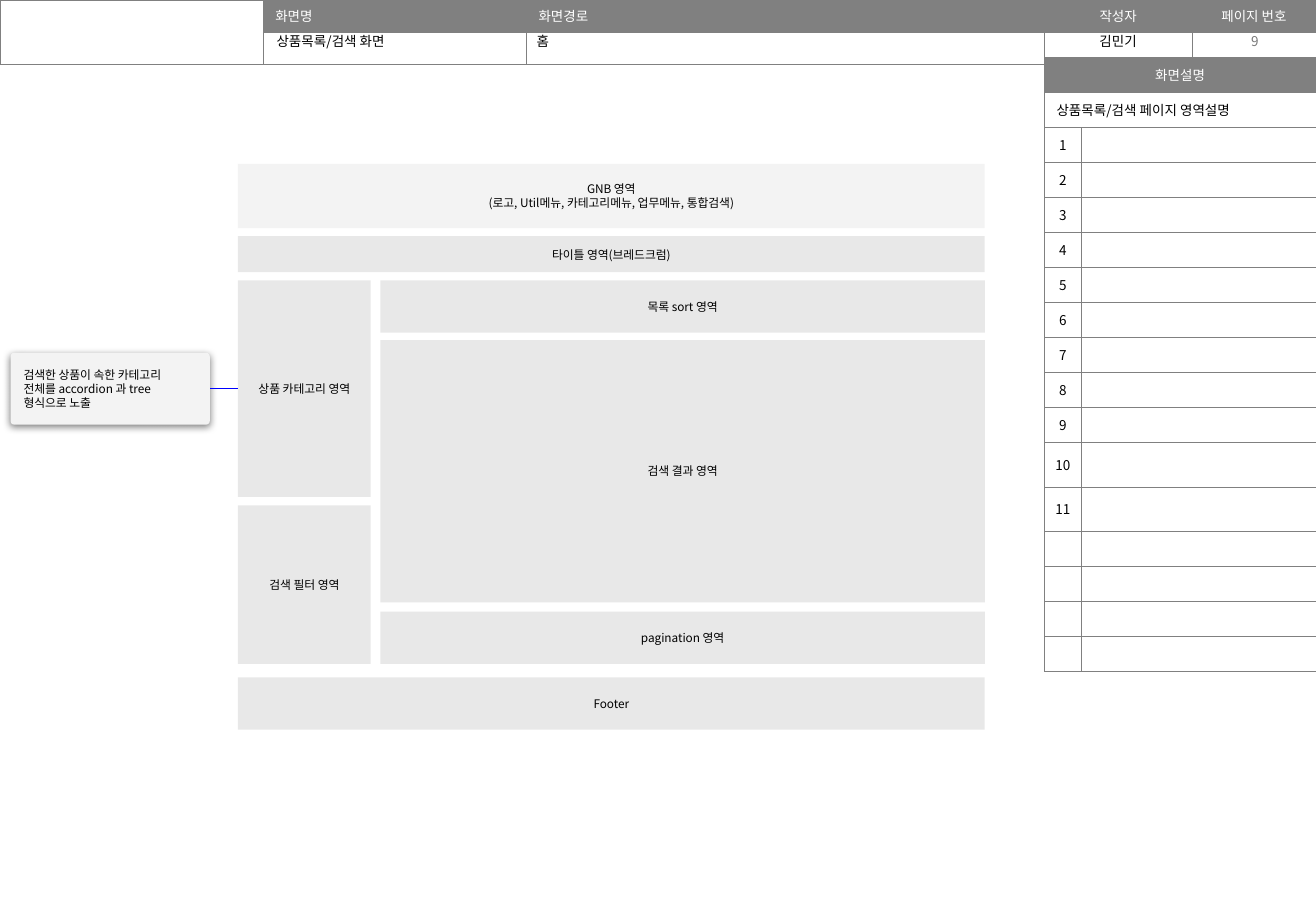
from lxml.etree import SubElement
from pptx import Presentation
from pptx.dml.color import RGBColor
from pptx.enum.shapes import MSO_CONNECTOR, MSO_SHAPE
from pptx.enum.text import MSO_ANCHOR, PP_ALIGN
from pptx.oxml.ns import qn
from pptx.util import Pt

FONT = "Noto Sans CJK KR"
COLORS = {"white": "FFFFFF", "black": "000000", "header": "808080",
          "number": "797979", "area": "E8E8E8", "light": "F3F3F3", "link": "0000FF"}
LEFT, CENTER = PP_ALIGN.LEFT, PP_ALIGN.CENTER
BOX_FORMAT = {"word_wrap": True, "vertical_anchor": MSO_ANCHOR.MIDDLE,
              "margin_left": Pt(7.2), "margin_right": Pt(7.2),
              "margin_top": Pt(7.2), "margin_bottom": Pt(7.2)}


def write(frame, lines, size, color, align):
    for index, line in enumerate(lines):
        para = frame.paragraphs[0] if index == 0 else frame.add_paragraph()
        para.alignment = align
        if not line:
            SubElement(para._p, qn("a:endParaRPr"), sz=str(size * 100))
            continue
        span = para.add_run()
        span.text = line
        span.font.color.rgb = RGBColor.from_string(COLORS[color])
        for name, value in {"size": Pt(size), "name": FONT}.items():
            setattr(span.font, name, value)
        SubElement(span._r.get_or_add_rPr(), qn("a:ea"), typeface=FONT)


def add_grid(left, top, widths, heights):
    frame = page.shapes.add_table(len(heights), len(widths), Pt(left), Pt(top),
                                  Pt(sum(widths)), Pt(sum(heights)))
    grid = frame.table
    grid.first_row = grid.horz_banding = False
    for column, width in zip(grid.columns, widths):
        column.width = Pt(width)
    for row, height in zip(grid.rows, heights):
        row.height = Pt(height)
    for cell in grid.iter_cells():
        properties = cell._tc.get_or_add_tcPr()
        for side in ("lnL", "lnR", "lnT", "lnB"):
            border = SubElement(properties, qn("a:" + side), w=str(Pt(0.25)))
            SubElement(SubElement(border, qn("a:solidFill")), qn("a:srgbClr"),
                       val=COLORS["header"])
        cell.fill.background()
    return grid


deck = Presentation()
deck.slide_width, deck.slide_height = Pt(780), Pt(540)
page = deck.slides.add_slide(deck.slide_layouts[6])

header = add_grid(0, 0, [156, 156, 307, 87.7, 73.3], [19, 19])
titles = [("", LEFT), ("화면명", LEFT), ("화면경로", LEFT), ("작성자", CENTER), ("페이지 번호", CENTER)]
for column, (title, align) in enumerate(titles):
    cell = header.cell(0, column)
    write(cell.text_frame, [title], 8, "white", align)
    write(header.cell(1, column).text_frame, [""], 8, "black", LEFT)
    if title:
        cell.fill.solid()
        cell.fill.fore_color.rgb = RGBColor.from_string(COLORS["header"])
header.cell(0, 0).merge(header.cell(1, 0))

header_values = [
    ("김민기", 618.5, 88.6, "black", CENTER, MSO_ANCHOR.TOP),
    ("9", 707.5, 72.5, "number", CENTER, MSO_ANCHOR.MIDDLE),
    ("상품목록/검색 화면", 156.8, 154.8, "black", LEFT, MSO_ANCHOR.TOP),
    ("홈", 311, 154.8, "black", LEFT, MSO_ANCHOR.TOP),
]
for text, left, width, color, align, anchor in header_values:
    box = page.shapes.add_textbox(Pt(left), Pt(15.8), Pt(width), Pt(17.3))
    box.text_frame.word_wrap = True
    box.text_frame.vertical_anchor = anchor
    write(box.text_frame, [text], 8, color, align)

notes = add_grid(619, 34, [22, 139], [20.75] * 11 + [26.3] * 2 + [20.75] * 4)
for row in range(17):
    number, detail = notes.cell(row, 0), notes.cell(row, 1)
    number.vertical_anchor = MSO_ANCHOR.MIDDLE
    write(detail.text_frame, [""], 8, "black", LEFT)
    if row == 0:
        write(number.text_frame, ["화면설명"], 8, "white", CENTER)
        number.fill.solid()
        number.fill.fore_color.rgb = RGBColor.from_string(COLORS["header"])
    elif row == 1:
        write(number.text_frame, ["상품목록/검색 페이지 영역설명"], 8, "black", LEFT)
    else:
        label = str(row - 1) if row <= 12 else ""
        write(number.text_frame, [label], 8, "black", CENTER)
        number.margin_left = number.margin_right = Pt(0)
    if row < 2:
        number.merge(detail)

areas = [
    ("result", ["검색 결과 영역"], 225.5, 201.6, 358.2, 155.5, "area"),
    ("pagination", ["pagination 영역"], 225.5, 362.6, 358.2, 31, "area"),
    ("footer", ["Footer"], 141, 401.5, 442.7, 31, "area"),
    ("category", ["상품 카테고리 영역"], 141, 166.2, 78.8, 128.4, "area"),
    ("sort", ["목록 sort 영역"], 225.5, 166.2, 358.2, 31, "area"),
    ("callout", ["검색한 상품이 속한 카테고리 전체를 accordion 과 tree 형식으로 노출"],
     6.3, 209.1, 118.1, 42.6, "light"),
    ("gnb", ["GNB 영역", "(로고, Util메뉴, 카테고리메뉴, 업무메뉴, 통합검색)"],
     141, 97.2, 442.7, 38, "light"),
    ("title", ["타이틀 영역(브레드크럼)"], 141, 140, 442.7, 21.4, "area"),
    ("filter", ["검색 필터 영역"], 141, 299.6, 78.8, 94, "area"),
]
boxes = {}
for name, lines, left, top, width, height, color in areas:
    is_callout = name == "callout"
    kind = MSO_SHAPE.ROUNDED_RECTANGLE if is_callout else MSO_SHAPE.RECTANGLE
    box = page.shapes.add_shape(kind, Pt(left), Pt(top), Pt(width), Pt(height))
    box.shadow.inherit = False
    box.fill.solid()
    box.fill.fore_color.rgb = RGBColor.from_string(COLORS[color])
    box.line.fill.background()
    for setting, value in BOX_FORMAT.items():
        setattr(box.text_frame, setting, value)
    write(box.text_frame, lines, 7, "black", LEFT if is_callout else CENTER)
    boxes[name] = box

callout = boxes["callout"]
callout.adjustments[0] = 0.05
callout.text_frame.margin_right = Pt(20)
effects = callout._element.spPr.find(qn("a:effectLst"))
shadow = SubElement(effects, qn("a:outerShdw"), blurRad=str(Pt(4.5)), dist=str(Pt(1.5)),
                    dir="5400000", algn="t", rotWithShape="0")
shade = SubElement(shadow, qn("a:srgbClr"), val=COLORS["black"])
SubElement(shade, qn("a:alpha"), val="49000")

link = page.shapes.add_connector(MSO_CONNECTOR.STRAIGHT, Pt(141), Pt(230.4), Pt(124.4), Pt(230.4))
link.begin_connect(boxes["category"], 1)
link.end_connect(callout, 3)
link.line.color.rgb = RGBColor.from_string(COLORS["link"])
link.line.width = Pt(0.75)
SubElement(link._element.spPr, qn("a:effectLst"))

deck.save("out.pptx")
